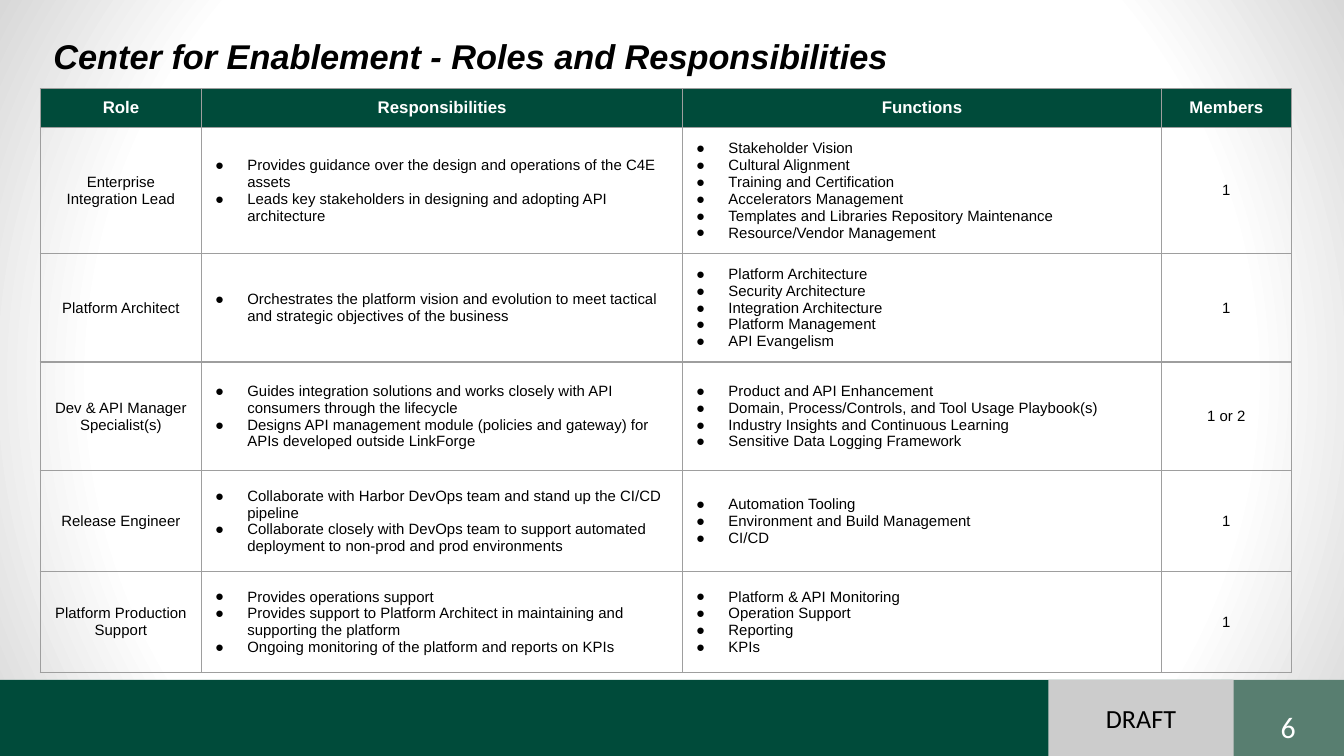
from pptx import Presentation
from pptx.dml.color import RGBColor
from pptx.enum.shapes import MSO_SHAPE
from pptx.enum.text import MSO_ANCHOR as Anchor, PP_ALIGN as Align
from pptx.oxml import parse_xml
from pptx.oxml.ns import nsdecls
from pptx.util import Inches, Pt

GREEN = RGBColor(0x00, 0x4B, 0x3A)
SAGE = RGBColor(0x58, 0x7E, 0x70)
GRAY = RGBColor(0xCC, 0xCC, 0xCC)
RULE = RGBColor(0x9E, 0x9E, 0x9E)
BLACK = RGBColor(0, 0, 0)
WHITE = RGBColor(255, 255, 255)
EDGE = RGBColor(0xD8, 0xD8, 0xD8)

HEADS = ["Role", "Responsibilities", "Functions", "Members"]
ROLES = [
    ("Enterprise Integration Lead",
     ["Provides guidance over the design and operations of the C4E assets",
      "Leads key stakeholders in designing and adopting API architecture"],
     ["Stakeholder Vision", "Cultural Alignment", "Training and Certification",
      "Accelerators Management",
      "Templates and Libraries Repository Maintenance",
      "Resource/Vendor Management"],
     "1"),
    ("Platform Architect",
     ["Orchestrates the platform vision and evolution to meet tactical and "
      "strategic objectives of the business"],
     ["Platform Architecture", "Security Architecture",
      "Integration Architecture", "Platform Management", "API Evangelism"],
     "1"),
    ("Dev & API Manager Specialist(s)",
     ["Guides integration solutions and works closely with API consumers "
      "through the lifecycle",
      "Designs API management module (policies and gateway) for APIs "
      "developed outside LinkForge"],
     ["Product and API Enhancement",
      "Domain, Process/Controls, and Tool Usage Playbook(s)",
      "Industry Insights and Continuous Learning",
      "Sensitive Data Logging Framework"],
     "1 or 2"),
    ("Release Engineer",
     ["Collaborate with Harbor DevOps team and stand up the CI/CD pipeline",
      "Collaborate closely with DevOps team to support automated deployment "
      "to non-prod and prod environments"],
     ["Automation Tooling", "Environment and Build Management", "CI/CD"],
     "1"),
    ("Platform Production Support",
     ["Provides operations support",
      "Provides support to Platform Architect in maintaining and supporting "
      "the platform",
      "Ongoing monitoring of the platform and reports on KPIs"],
     ["Platform & API Monitoring", "Operation Support", "Reporting", "KPIs"],
     "1"),
]
WIDTHS = [1.2, 3.58, 3.56, 0.97]
HEIGHTS = [0.29, 0.87, 0.75, 0.81, 0.75, 0.75]


def style(para, size, color, name="Arial", bold=False, align=Align.CENTER):
    para.alignment = align
    font = para.font
    font.size, font.name, font.bold = Pt(size), name, bold
    font.color.rgb = color


def add_bar(left, width, color):
    bar = slide.shapes.add_shape(MSO_SHAPE.RECTANGLE, Inches(left),
                                 Inches(5.06), Inches(width), Inches(0.57))
    bar.shadow.inherit = False
    bar.fill.solid()
    bar.fill.fore_color.rgb = color
    bar.line.fill.background()
    return bar


deck = Presentation()
deck.slide_width = Inches(10)
deck.slide_height = Inches(10) * 9 // 16
slide = deck.slides.add_slide(deck.slide_layouts[6])

# Background: white centre fading to gray corners
stops = "".join(
    f'<a:gs pos="{pos}"><a:srgbClr val="{color}"/></a:gs>'
    for pos, color in [(0, WHITE), (75000, WHITE), (100000, EDGE)])
slide.element.cSld.insert(0, parse_xml(
    f'<p:bg {nsdecls("p", "a")}><p:bgPr><a:gradFill><a:gsLst>{stops}</a:gsLst>'
    '<a:path path="circle"><a:fillToRect l="50000" t="50000" r="50000" '
    'b="50000"/></a:path></a:gradFill><a:effectLst/></p:bgPr></p:bg>'))

# Footer
add_bar(9.17, 0.83, SAGE)
add_bar(0, 9.17, GREEN)
page = slide.shapes.add_textbox(Inches(9.25), Inches(5.22),
                                Inches(0.67), Inches(0.28))
page.text_frame.word_wrap = True
para = page.text_frame.paragraphs[0]
para.text = "6"
style(para, 16, WHITE, "Calibri")

# Roles table
frame = slide.shapes.add_table(
    len(HEIGHTS), len(WIDTHS), Inches(0.3), Inches(0.66),
    Inches(sum(WIDTHS)), Inches(sum(HEIGHTS)))
table = frame.table
table.first_row = table.horz_banding = False
for col, width in zip(table.columns, WIDTHS):
    col.width = Inches(width)
for row, height in zip(table.rows, HEIGHTS):
    row.height = Inches(height)

for r, entry in enumerate([HEADS, *ROLES]):
    for c, item in enumerate(entry):
        cell = table.cell(r, c)
        cell.margin_left = cell.margin_right = Inches(0.1)
        cell.margin_top = cell.margin_bottom = Inches(0.07)
        cell.vertical_anchor = Anchor.MIDDLE if r else Anchor.TOP
        props = cell._tc.get_or_add_tcPr()
        for side in "LRTB":
            props.append(parse_xml(
                f'<a:ln{side} {nsdecls("a")} w="{Pt(0.75)}"><a:solidFill>'
                f'<a:srgbClr val="{RULE}"/></a:solidFill></a:ln{side}>'))
        if r:
            cell.fill.background()
        else:
            cell.fill.solid()
            cell.fill.fore_color.rgb = GREEN

        listed = isinstance(item, list)
        lines = item if listed else [item]
        cell.text = "\n".join(lines)
        for para in cell.text_frame.paragraphs:
            if listed:
                form = para._p.get_or_add_pPr()
                form.set("marL", str(Inches(0.24)))
                form.set("indent", str(Inches(-0.25)))
                for mark in (
                        f'buClr {nsdecls("a")}><a:srgbClr val="{BLACK}"/>'
                        '</a:buClr>',
                        f'buSzPts {nsdecls("a")} val="800"/>',
                        f'buFont {nsdecls("a")} typeface="Arial"/>',
                        f'buChar {nsdecls("a")} char="●"/>'):
                    form.append(parse_xml("<a:" + mark))
            style(para, 8 if r else 9, BLACK if r else WHITE, bold=not r,
                  align=Align.LEFT if listed else Align.CENTER)

# Title
title = slide.shapes.add_textbox(Inches(0.3), Inches(0.06),
                                 Inches(8.33), Inches(0.71))
title.text_frame.word_wrap = True
title.text_frame.vertical_anchor = Anchor.MIDDLE
para = title.text_frame.paragraphs[0]
para.text = "Center for Enablement - Roles and Responsibilities"
style(para, 18.4, BLACK, bold=True, align=Align.LEFT)
para.font.italic = True

# Draft tag
draft = add_bar(7.8, 1.38, GRAY)
draft.text_frame.vertical_anchor = Anchor.MIDDLE
para = draft.text_frame.paragraphs[0]
para.text = "DRAFT"
style(para, 14, BLACK, "Calibri")

deck.save("out.pptx")
